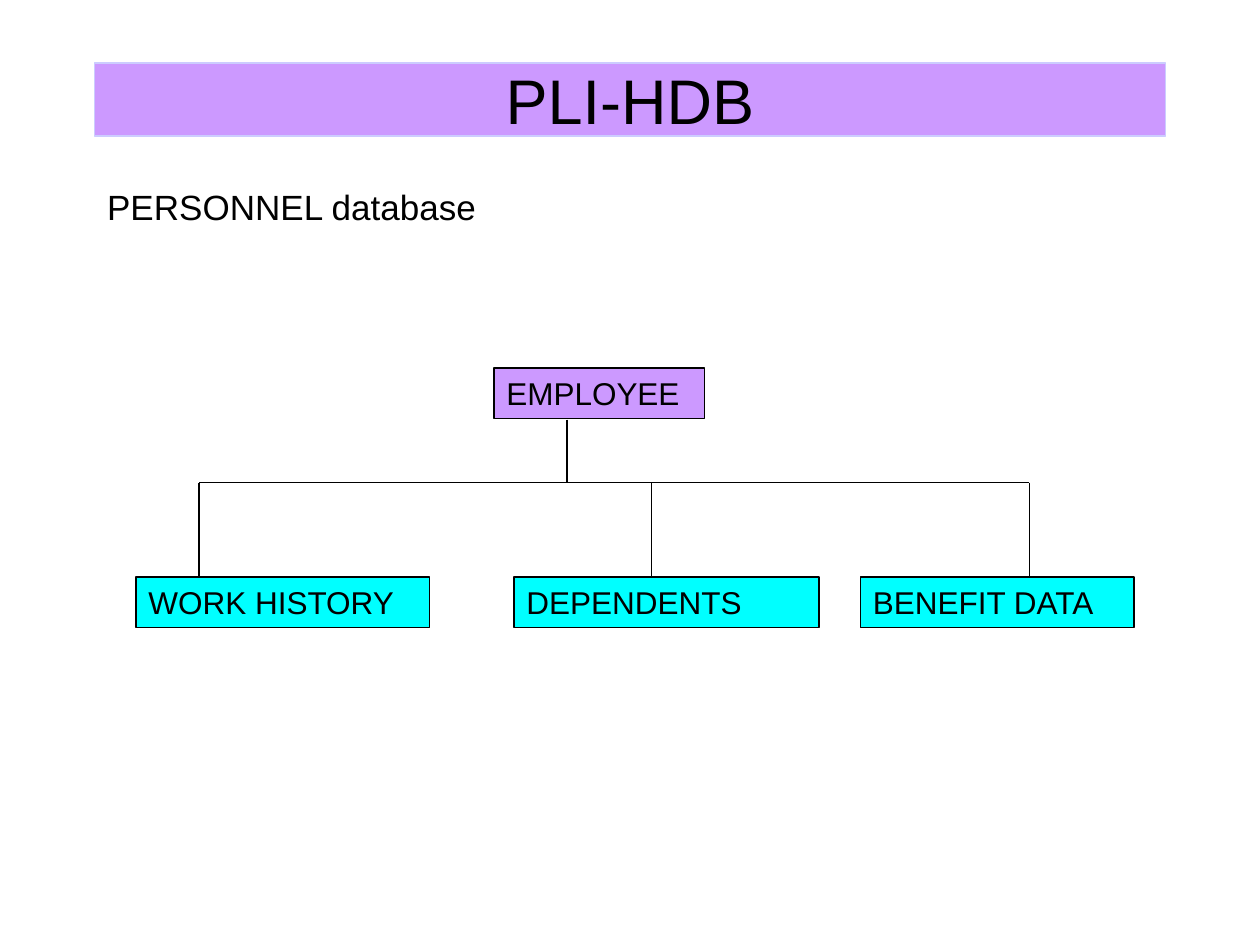
from dataclasses import dataclass

from pptx import Presentation
from pptx.dml.color import RGBColor as RGB
from pptx.enum.shapes import MSO_CONNECTOR as LINK, MSO_SHAPE as SHAPE
from pptx.enum.text import MSO_ANCHOR as ANCHOR, MSO_AUTO_SIZE as FIT, PP_ALIGN as ALIGN
from pptx.oxml.ns import qn
from pptx.oxml.xmlchemy import OxmlElement as Node
from pptx.util import Inches, Pt


@dataclass(frozen=True)
class Theme:
    font: str = "Arial"
    ink: RGB = RGB(0, 0, 0)
    violet: RGB = RGB(0xCC, 0x99, 0xFF)
    edge: RGB = RGB(0xCC, 0xCC, 0xFF)
    cyan: RGB = RGB(0, 0xFF, 0xFF)
    title: Pt = Pt(36)
    body: Pt = Pt(20)
    label: Pt = Pt(18)
    line: Pt = Pt(0.75)


T = Theme()


def place(shape, box):
    shape.left, shape.top, shape.width, shape.height = map(Inches, box)


def paint(shape, fill, edge):
    shape.fill.solid()
    shape.fill.fore_color.rgb = fill
    shape.line.color.rgb = edge
    shape.line.width = T.line


def write(shape, text, size, align=ALIGN.LEFT, anchor=ANCHOR.TOP, before=0):
    frame = shape.text_frame
    frame.word_wrap = True
    frame.auto_size = FIT.NONE
    frame.vertical_anchor = anchor
    para = frame.paragraphs[0]
    para.alignment = align
    para.space_before = Pt(before)
    run = para.add_run()
    run.text = text
    run.font.name = T.font
    run.font.size = size
    run.font.color.rgb = T.ink
    return para


def add_title(slide, box, text):
    title = slide.shapes.title
    place(title, box)
    paint(title, T.violet, T.edge)
    write(title, text, T.title, ALIGN.CENTER, ANCHOR.MIDDLE)


def add_body(slide, box, text):
    body = slide.placeholders[1]
    place(body, box)
    para = write(body, text, T.body, before=5)
    # Hanging indent without a bullet
    props = para._p.get_or_add_pPr()
    props.set("marL", str(Inches(0.38)))
    props.set("indent", str(-Inches(0.38)))
    props.append(Node("a:buNone"))


def add_node(slide, box, text, fill):
    node = slide.shapes.add_shape(SHAPE.RECTANGLE, *map(Inches, box))
    node.shadow.inherit = False
    paint(node, fill, T.ink)
    write(node, text, T.label, before=11.2)


def add_line(slide, *ends):
    line = slide.shapes.add_connector(LINK.STRAIGHT, *map(Inches, ends))
    line.line.color.rgb = T.ink
    line.line.width = T.line
    line._element.find(qn("p:spPr")).append(Node("a:effectLst"))


def add_tree(slide, box):
    left, top, width, height = box
    tall = 0.4
    base = top + height - tall  # top of the child row
    bus = top + 0.91

    # Parent segment
    add_node(slide, (left + 2.84, top, 1.67, tall), "EMPLOYEE", T.violet)

    # Child segments: text, offset, width, offset of the drop line
    kids = [
        ("WORK HISTORY", 0, 2.33, 0.5),
        ("DEPENDENTS", 3, 2.42, 4.09),
        ("BENEFIT DATA", 5.75, width - 5.75, 7.09),
    ]
    for text, x, wide, _ in kids:
        add_node(slide, (left + x, base, wide, tall), text, T.cyan)

    # Bus, drops and stem
    drops = [left + kid[-1] for kid in kids]
    add_line(slide, drops[0], bus, drops[-1], bus)
    for x in drops:
        add_line(slide, x, bus, x, base)
    stem = left + 3.42
    add_line(slide, stem, top + 0.41, stem, bus)


def main():
    deck = Presentation()
    deck.slide_width, deck.slide_height = Inches(10), Inches(7.5)
    slide = deck.slides.add_slide(deck.slide_layouts[1])
    add_title(slide, (0.75, 0.5, 8.5, 0.58), "PLI-HDB")
    add_body(slide, (0.75, 1.42, 8.5, 5.25), "PERSONNEL database")
    add_tree(slide, (1.08, 2.92, 7.92, 2.06))
    deck.save("out.pptx")


if __name__ == "__main__":
    main()
